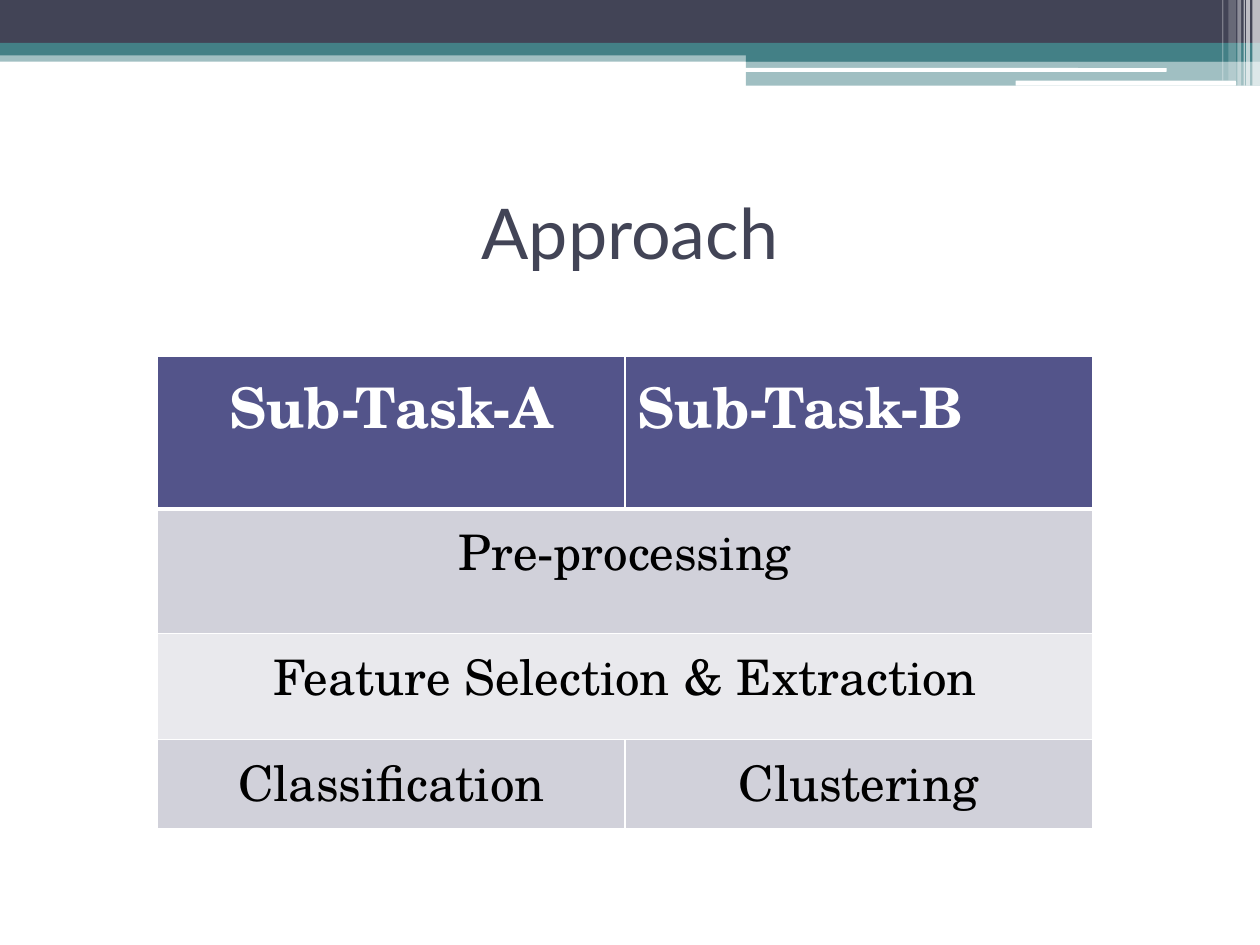
from lxml import etree
from pptx import Presentation
from pptx import util as u
from pptx.dml.color import RGBColor
from pptx.enum import shapes, text
from pptx.oxml import ns

COLORS = {
    "navy": "424456", "teal": "438086", "white": "FFFFFF", "black": "000000",
    "header": "53548A", "band_dark": "D1D1DA", "band_light": "E9E9ED",
}
TITLE_FONT, TABLE_FONT = "Lato", "TeX Gyre Schola"
RECTANGLE = shapes.MSO_SHAPE.RECTANGLE
ROUNDED = shapes.MSO_SHAPE.ROUNDED_RECTANGLE
CENTER, LEFT = text.PP_ALIGN.CENTER, text.PP_ALIGN.LEFT

BANDS = [
    (RECTANGLE, (0, 0.4, 10, 0.09), "teal", 50),
    (RECTANGLE, (0, 0, 10, 0.34), "navy", 100),
    (RECTANGLE, (0, 0.34, 10, 0.1), "teal", 100),
    (RECTANGLE, (5.92, 0.39, 4.08, 0.1), "teal", 100),
    (RECTANGLE, (5.92, 0.48, 4.08, 0.2), "teal", 50),
    (ROUNDED, (5.91, 0.54, 3.35, 0.03), "white", 100),
    (ROUNDED, (8.06, 0.64, 1.75, 0.04), "white", 100),
]
STRIPES = [
    (9.94, 0.06, 0.68, 65), (9.89, 0.03, 0.68, 65), (9.87, 0.01, 0.68, 60),
    (9.82, 0.03, 0.68, 40), (9.75, 0.06, 0.64, 20), (9.7, 0.01, 0.64, 30),
]
TITLE = "Approach"
TABLE_LEFT, TABLE_TOP, COLUMN_WIDTH, COLUMN_COUNT = 1.25, 2.83, 3.71, 2
ROWS = [
    (1.21, "header", [("Sub-Task-A", CENTER), ("Sub-Task-B", LEFT)]),
    (0.99, "band_dark", [("Pre-processing", CENTER)]),
    (0.84, "band_light", [("Feature Selection & Extraction", CENTER)]),
    (0.71, "band_dark", [("Classification", CENTER), ("Clustering", CENTER)]),
]


def rgb(name):
    return RGBColor.from_string(COLORS[name])


def add_band(slide, kind, box, color, opacity):
    shape = slide.shapes.add_shape(kind, *map(u.Inches, box))
    shape.shadow.inherit = False
    shape.fill.solid()
    shape.fill.fore_color.rgb = rgb(color)
    shape.line.fill.background()
    if opacity < 100:
        color_element = shape.fill._xPr.find(".//" + ns.qn("a:srgbClr"))
        etree.SubElement(color_element, ns.qn("a:alpha"), val=str(opacity * 1000))


def write(frame, content, alignment, font_name, size, color, bold=False):
    frame.text = content
    paragraph = frame.paragraphs[0]
    paragraph.alignment = alignment
    font = paragraph.runs[0].font
    font.name, font.size, font.bold = font_name, u.Pt(size), bold
    font.color.rgb = rgb(color)


def set_borders(cell, top, bottom):
    properties = cell._tc.get_or_add_tcPr()
    for side, width in (("L", 1), ("R", 1), ("T", top), ("B", bottom)):
        line = etree.SubElement(properties, ns.qn("a:ln" + side), w=str(u.Pt(width)))
        fill = etree.SubElement(line, ns.qn("a:solidFill"))
        etree.SubElement(fill, ns.qn("a:srgbClr"), val=COLORS["white"])


def add_title(slide):
    box = slide.shapes.add_textbox(*map(u.Inches, (0.5, 1.25, 9, 1.17)))
    box.text_frame.word_wrap = True
    box.text_frame.vertical_anchor = text.MSO_ANCHOR.MIDDLE
    write(box.text_frame, TITLE, CENTER, TITLE_FONT, 40, "navy")


def add_task_table(slide):
    size = (COLUMN_WIDTH * COLUMN_COUNT, sum(row[0] for row in ROWS))
    table = slide.shapes.add_table(
        len(ROWS), COLUMN_COUNT, *map(u.Inches, (TABLE_LEFT, TABLE_TOP, *size))
    ).table
    for column in table.columns:
        column.width = u.Inches(COLUMN_WIDTH)
    for index, (height, color, entries) in enumerate(ROWS):
        table.rows[index].height = u.Inches(height)
        for column in range(COLUMN_COUNT):
            cell = table.cell(index, column)
            set_borders(cell, 3 if index == 1 else 1, 3 if index == 0 else 1)
            cell.fill.solid()
            cell.fill.fore_color.rgb = rgb(color)
        if len(entries) < COLUMN_COUNT:
            table.cell(index, 0).merge(table.cell(index, COLUMN_COUNT - 1))
        style = (32, "white", True) if index == 0 else (28, "black", False)
        for column, (content, alignment) in enumerate(entries):
            frame = table.cell(index, column).text_frame
            write(frame, content, alignment, TABLE_FONT, *style)


def main():
    presentation = Presentation()
    presentation.slide_width, presentation.slide_height = u.Inches(10), u.Inches(7.5)
    slide = presentation.slides.add_slide(presentation.slide_layouts[6])
    for band in BANDS:
        add_band(slide, *band)
    for left, width, height, opacity in STRIPES:
        add_band(slide, RECTANGLE, (left, 0, width, height), "white", opacity)
    add_title(slide)
    add_task_table(slide)
    presentation.save("out.pptx")


if __name__ == "__main__":
    main()
